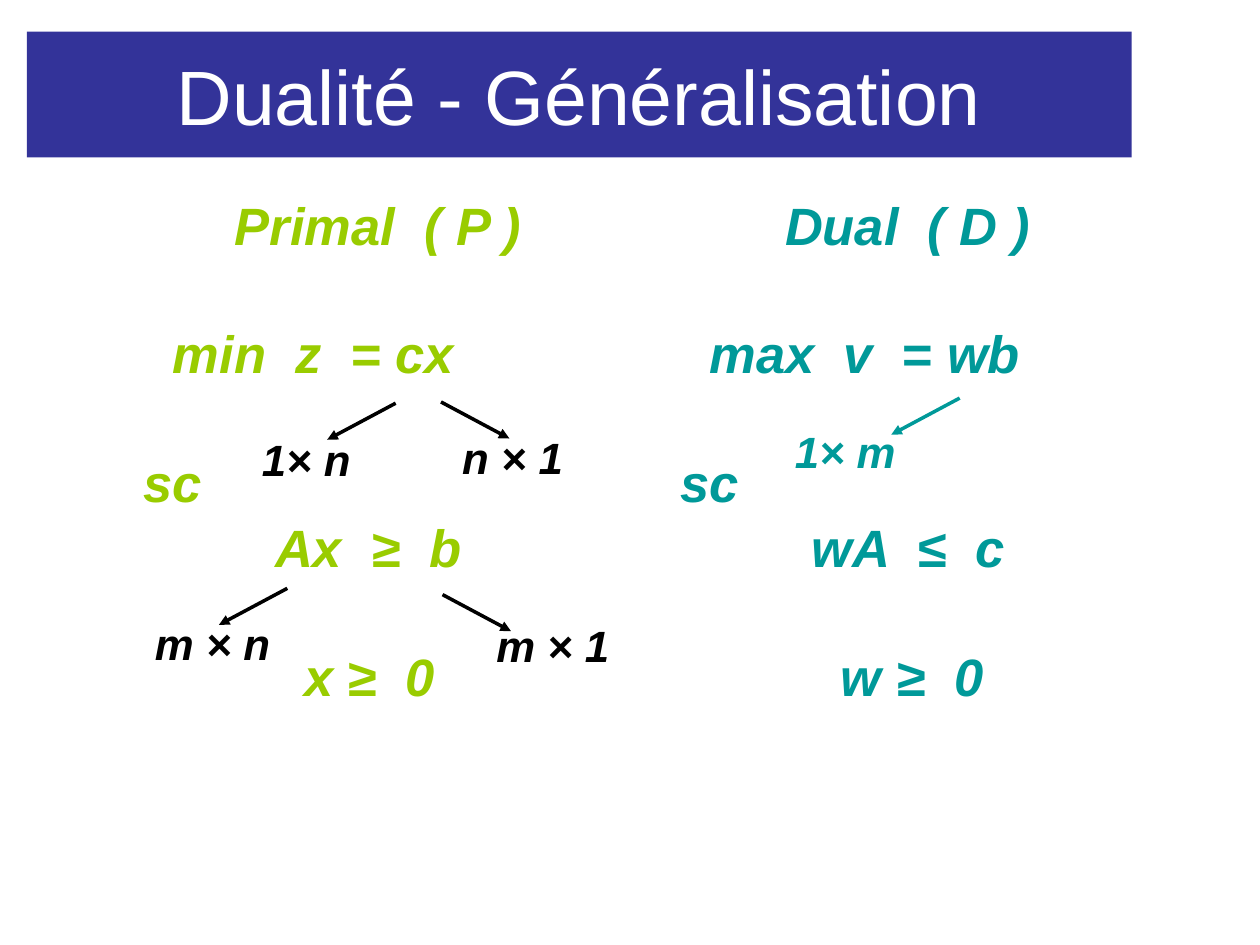
"""Build the slide on the general form of a primal and its dual."""
from pptx import Presentation
from pptx.dml.color import RGBColor
from pptx.enum.shapes import MSO_CONNECTOR
from pptx.enum.text import MSO_ANCHOR, MSO_AUTO_SIZE, PP_ALIGN
from pptx.oxml.ns import qn
from pptx.util import Pt
from lxml.etree import SubElement


def tint(code):
    """Return the colour of a hex string."""
    return RGBColor.from_string(code)


def write(frame, text, size=25, color="000000", bold=True, align=PP_ALIGN.LEFT,
          before=0, indent=0, first=True):
    """Write one formatted paragraph into a text frame."""
    para = frame.paragraphs[0] if first else frame.add_paragraph()
    props = para._p.get_or_add_pPr()
    props.set("marL", str(Pt(indent)))
    props.set("indent", "0")
    SubElement(props, qn("a:buNone"))
    para.alignment = align
    para.space_before = Pt(before)
    run = para.add_run()
    run.text = text
    run.font.name = "Arial"
    run.font.size = Pt(size)
    run.font.bold = run.font.italic = bold
    run.font.color.rgb = tint(color)


BLACK, GREEN, TEAL = "000000", "99CC00", "009999"
SPACE = 8.34
TIGHT, WIDE = 1.5, 37.5

deck = Presentation()
deck.slide_width, deck.slide_height = Pt(720), Pt(540)
slide = deck.slides.add_slide(deck.slide_layouts[3])
title, left, right = slide.placeholders

title.left, title.top, title.width, title.height = Pt(15.3), Pt(18), Pt(631.4), Pt(72)
title.fill.solid()
title.fill.fore_color.rgb = tint("333399")
title.text_frame.vertical_anchor = MSO_ANCHOR.MIDDLE
write(title.text_frame, "Dualité - Généralisation", size=44, color="FFFFFF",
      bold=False, align=PP_ALIGN.CENTER)

gaps = [0, WIDE, WIDE, TIGHT, WIDE]
steps = [2, 0, 9, 11]
columns = [
    (left, 74.9, GREEN, 2,
     ["Primal  ( P )", "min  z  = cx", "sc", "Ax  ≥  b", "x ≥  0"]),
    (right, 381.6, TEAL, 1,
     ["Dual  ( D )", "max  v  = wb", "sc", "wA  ≤  c", "w ≥  0"]),
]
for body, x, color, shift, rows in columns:
    body.left, body.top, body.width, body.height = Pt(x), Pt(103), Pt(265.7), Pt(331)
    frame = body.text_frame
    frame.auto_size = MSO_AUTO_SIZE.NONE
    frame.vertical_anchor = MSO_ANCHOR.TOP
    frame.margin_top = Pt(7)
    for row, (text, gap, step) in enumerate(zip(rows, gaps, [shift] + steps)):
        write(frame, text, size=30, color=color, before=gap, indent=step * SPACE,
              align=PP_ALIGN.LEFT if row else PP_ALIGN.CENTER, first=row == 0)

labels = [
    ("n × 1", 257, 242.6, 77.8, BLACK),
    ("1× n", 142.6, 243.4, 87.8, BLACK),
    ("m × n", 81.4, 348.5, 87.8, BLACK),
    ("m × 1", 276.5, 349.9, 85.7, BLACK),
    ("1× m", 447.1, 239, 87.8, TEAL),
]
for text, x, y, width, color in labels:
    box = slide.shapes.add_textbox(Pt(x), Pt(y), Pt(width), Pt(37.4))
    box.text_frame.word_wrap = True
    box.text_frame.vertical_anchor = MSO_ANCHOR.MIDDLE
    write(box.text_frame, text, color=color)

arrows = [
    (252, 229.7, 1, BLACK),
    (226.1, 230.4, -1, BLACK),
    (164.2, 336.2, -1, BLACK),
    (252.9, 339.8, 1, BLACK),
    (548.4, 227.5, -1, TEAL),
]
for x, y, side, color in arrows:
    arrow = slide.shapes.add_connector(
        MSO_CONNECTOR.STRAIGHT, Pt(x), Pt(y), Pt(x + side * 39.1), Pt(y + 20.9))
    arrow.line.width = Pt(2)
    arrow.line.color.rgb = tint(color)
    props = arrow._element.spPr
    SubElement(props.find(qn("a:ln")), qn("a:tailEnd"), type="triangle")
    SubElement(props, qn("a:effectLst"))

deck.save("out.pptx")
